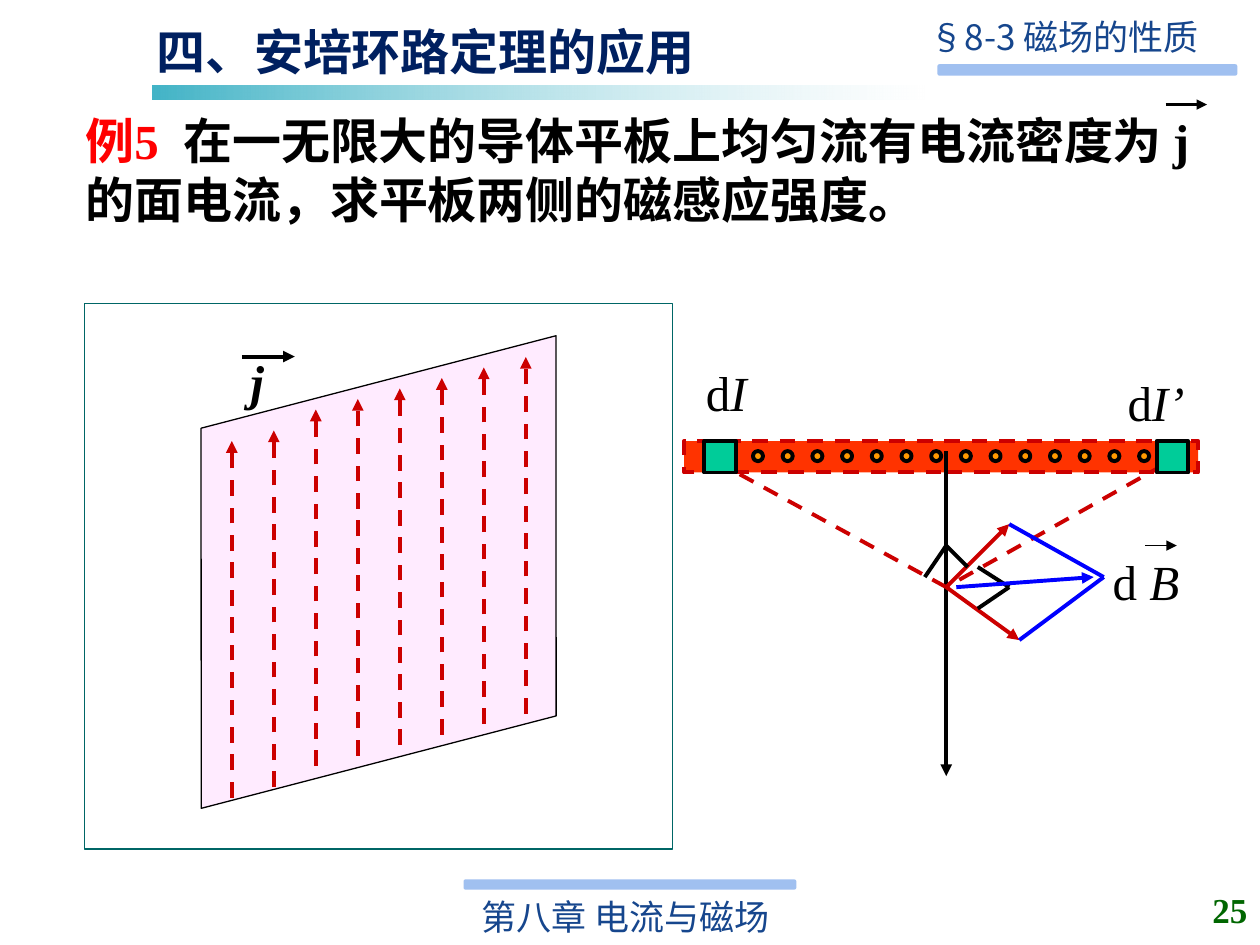
"""Builds the slide on Ampère's circuital law for an infinite current sheet."""
from typing import NamedTuple, Optional

from lxml import etree
from pptx import Presentation
from pptx.dml.color import RGBColor
from pptx.enum import dml, shapes, text
from pptx.oxml.ns import qn
from pptx.util import Inches, Pt

BLACK = RGBColor(0x00, 0x00, 0x00)
WHITE = RGBColor(0xFF, 0xFF, 0xFF)
RED = RGBColor(0xFF, 0x00, 0x00)
DARK_RED = RGBColor(0xCC, 0x00, 0x00)
BLUE = RGBColor(0x00, 0x00, 0xFF)
NAVY = RGBColor(0x00, 0x20, 0x60)
HEADER_BLUE = RGBColor(0x16, 0x46, 0x8D)
BAR_BLUE = RGBColor(0xA0, 0xC0, 0xF0)
TEAL = RGBColor(0x43, 0xB4, 0xC7)
GREEN = RGBColor(0x00, 0x66, 0x00)
FRAME_GREEN = RGBColor(0x00, 0x66, 0x66)
STRIP_GREEN = RGBColor(0x00, 0xCC, 0x99)
PLATE_RED = RGBColor(0xFF, 0x33, 0x00)
ORANGE = RGBColor(0xFF, 0x99, 0x00)
PINK = RGBColor(0xFF, 0xEB, 0xFF)

SERIF = "Times New Roman"
SANS = "Noto Sans CJK SC"
KIND = shapes.MSO_SHAPE
LEFT, CENTER, RIGHT = text.PP_ALIGN.LEFT, text.PP_ALIGN.CENTER, text.PP_ALIGN.RIGHT


class Area(NamedTuple):
    left: float
    top: float
    width: float
    height: float


class Span(NamedTuple):
    words: str
    color: RGBColor = BLACK
    italic: bool = False


class Label(NamedTuple):
    area: Area
    spans: list[Span]
    size: int = 28
    font: str = SERIF
    bold: bool = False
    align: text.PP_ALIGN = CENTER
    wrap: bool = True


class Stroke(NamedTuple):
    start: tuple[float, float]
    end: tuple[float, float]
    color: RGBColor = BLACK
    arrow: bool = False
    dashed: bool = False
    width: float = 2.25


def fill_label(box, label: Label) -> None:
    frame = box.text_frame
    frame.word_wrap = label.wrap
    frame.auto_size = text.MSO_AUTO_SIZE.NONE
    frame.vertical_anchor = text.MSO_ANCHOR.TOP
    para = frame.paragraphs[0]
    para.alignment = label.align
    para.font.size = Pt(label.size)
    para.font.name = label.font
    para.font.bold = label.bold
    defaults = para._p.pPr.find(qn("a:defRPr"))
    etree.SubElement(defaults, qn("a:ea"), typeface=SANS)
    for span in label.spans:
        run = para.add_run()
        run.text = span.words
        run.font.color.rgb = span.color
        if span.italic:
            run.font.italic = True


def add_label(page, label: Label) -> None:
    fill_label(page.shapes.add_textbox(*map(Inches, label.area)), label)


def add_box(page, kind: KIND, area: Area, fill: RGBColor,
            line: Optional[RGBColor] = None, width: float = 2.25):
    box = page.shapes.add_shape(kind, *map(Inches, area))
    box.shadow.inherit = False
    box.fill.solid()
    box.fill.fore_color.rgb = fill
    if line is None:
        box.line.fill.background()
    else:
        box.line.color.rgb = line
        box.line.width = Pt(width)
    return box


def add_stroke(page, stroke: Stroke) -> None:
    connector = page.shapes.add_connector(
        shapes.MSO_CONNECTOR.STRAIGHT, *map(Inches, stroke.start + stroke.end))
    connector.line.color.rgb = stroke.color
    connector.line.width = Pt(stroke.width)
    if stroke.dashed:
        connector.line.dash_style = dml.MSO_LINE.DASH
    if stroke.arrow:
        etree.SubElement(connector.line._get_or_add_ln(), qn("a:tailEnd"), type="triangle")
    etree.SubElement(connector._element.spPr, qn("a:effectLst"))


def add_headings(page) -> None:
    add_box(page, KIND.ROUNDED_RECTANGLE, Area(7.44, 0.51, 2.38, 0.09), BAR_BLUE)
    add_box(page, KIND.ROUNDED_RECTANGLE, Area(3.68, 6.98, 2.64, 0.08), BAR_BLUE)
    for area, words in ((Area(7.28, 0.07, 2.87, 0.44), "§8-3 磁场的性质"),
                        (Area(3.72, 7.06, 2.57, 0.44), "第八章 电流与磁场")):
        add_label(page, Label(area, [Span(words, HEADER_BLUE)], 20, SANS, align=LEFT))
    add_label(page, Label(Area(9.37, 7, 0.63, 0.5), [Span("25", GREEN)], 20,
                          bold=True, align=RIGHT))
    heading = Label(Area(1.14, 0.12, 4.54, 0.57), [Span("四、安培环路定理的应用", NAVY)],
                    bold=True, align=LEFT, wrap=False)
    title = page.shapes.title
    title.left, title.top, title.width, title.height = map(Inches, heading.area)
    fill_label(title, heading)
    rule = add_box(page, KIND.RECTANGLE, Area(1.21, 0.68, 6.13, 0.11), TEAL)
    rule.fill.gradient()
    rule.fill.gradient_angle = 0
    for stop, color in zip(rule.fill.gradient_stops, (TEAL, WHITE)):
        stop.color.rgb = color
    faded = rule._element.spPr.findall(".//" + qn("a:srgbClr"))[-1]
    etree.SubElement(faded, qn("a:alpha"), val="46000")
    problem = "在一无限大的导体平板上均匀流有电流密度为 j 的面电流，求平板两侧的磁感应强度。"
    add_label(page, Label(Area(0.58, 0.83, 9.42, 1.03), [Span("例5  ", RED), Span(problem)],
                          bold=True, align=LEFT))
    add_stroke(page, Stroke((9.25, 0.83), (9.58, 0.83), arrow=True, width=1.5))


def add_field_diagram(page) -> None:
    plate = add_box(page, KIND.RECTANGLE, Area(5.43, 3.5, 4.08, 0.25), PLATE_RED, DARK_RED)
    plate.line.dash_style = dml.MSO_LINE.DASH
    for index in range(15):
        add_box(page, KIND.FLOWCHART_CONNECTOR,
                Area(5.74 + index * 3.3 / 14, 3.58, 0.08, 0.08), ORANGE, BLACK)
    point, upper, lower, corner = (7.51, 4.66), (8.01, 4.16), (8.09, 5.08), (8.76, 4.58)
    strokes = [
        Stroke((7.51, 3.58), (7.51, 6.16), arrow=True),
        Stroke((5.68, 3.66), point, DARK_RED, dashed=True),
        Stroke(point, upper, DARK_RED, arrow=True),
        Stroke((7.34, 4.58), (7.51, 4.33)),
        Stroke((7.51, 4.33), (7.68, 4.5)),
        Stroke((9.43, 3.58), point, DARK_RED, dashed=True),
        Stroke(point, lower, DARK_RED, arrow=True),
        Stroke((7.76, 4.5), (8.01, 4.66)),
        Stroke((8.01, 4.66), (7.76, 4.83)),
        Stroke(upper, corner, BLUE),
        Stroke(lower, corner, BLUE),
        Stroke((7.59, 4.66), (8.68, 4.58), BLUE, arrow=True),
        Stroke((9.09, 4.33), (9.34, 4.33), arrow=True, width=1),
    ]
    for stroke in strokes:
        add_stroke(page, stroke)
    for left in (5.59, 9.18):
        add_box(page, KIND.FLOWCHART_PROCESS, Area(left, 3.5, 0.25, 0.25), STRIP_GREEN, BLACK)
    for area, symbol in ((Area(5.43, 2.83, 0.67, 0.57), "I"),
                         (Area(8.84, 2.91, 0.67, 0.57), "I’"),
                         (Area(8.68, 4.33, 0.83, 0.57), " B")):
        add_label(page, Label(area, [Span("d"), Span(symbol, italic=True)]))


def add_sheet_diagram(page) -> None:
    add_box(page, KIND.RECTANGLE, Area(0.67, 2.41, 4.67, 4.33), WHITE, FRAME_GREEN, 0.75)
    sheet = add_box(page, KIND.PARALLELOGRAM, Area(1.17, 3.08, 3.67, 2.92), PINK, BLACK, 0.75)
    sheet.adjustments[0] = 0.26
    sheet.rotation = 345.4
    for index in range(8):
        left = 1.84 + index / 3
        bottom = 6.33 - (index + (index > 1)) / 12
        add_stroke(page, Stroke((left, bottom), (left, bottom - 2.83), DARK_RED, True, True))
    add_label(page, Label(Area(1.5, 2.74, 1.08, 0.57), [Span("j", italic=True)], bold=True))
    add_stroke(page, Stroke((1.92, 2.83), (2.34, 2.83), arrow=True))


def main() -> None:
    deck = Presentation()
    deck.slide_width, deck.slide_height = Inches(10), Inches(7.5)
    page = deck.slides.add_slide(deck.slide_layouts[5])
    add_headings(page)
    add_field_diagram(page)
    add_sheet_diagram(page)
    deck.save("out.pptx")


if __name__ == "__main__":
    main()
